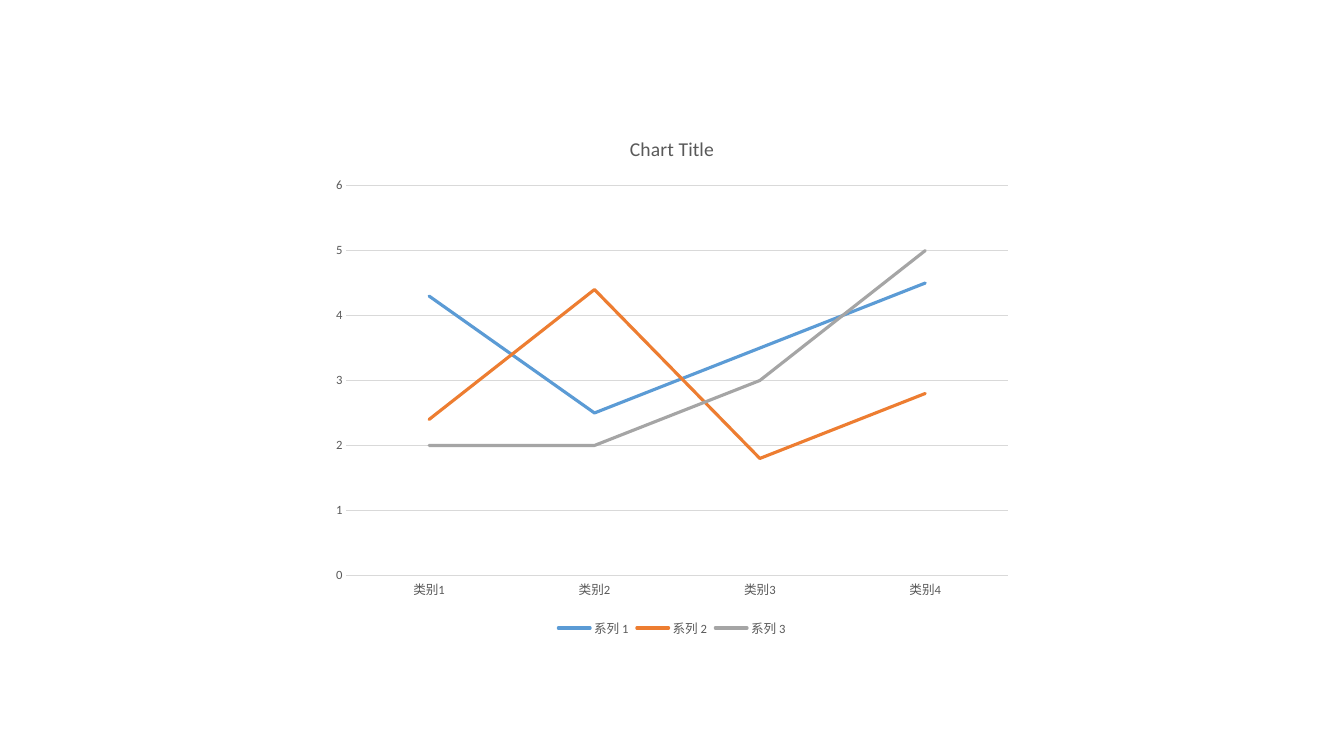
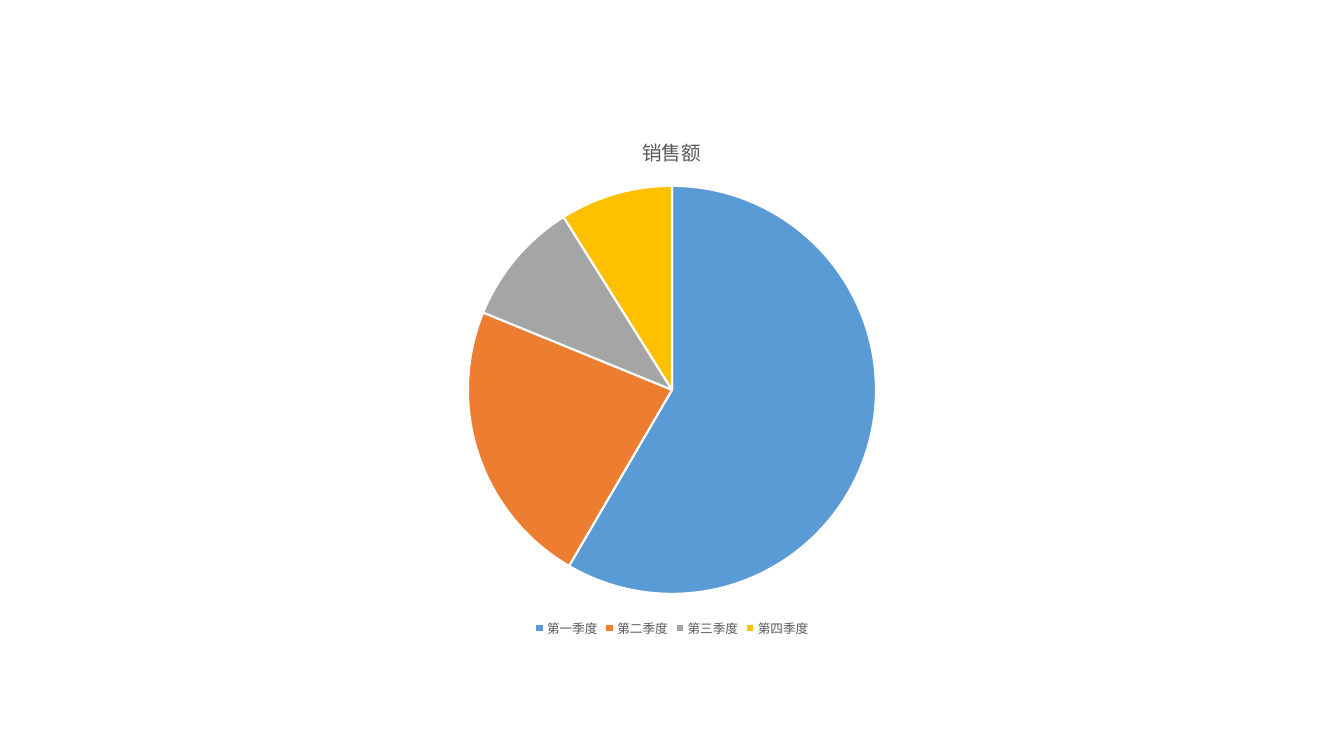
from dataclasses import dataclass
from pptx import Presentation
from pptx.chart.data import CategoryChartData as ChartData
from pptx.dml.color import RGBColor as RGB
from pptx.enum.chart import XL_CHART_TYPE as ChartType
from pptx.enum.chart import XL_LEGEND_POSITION as LegendPosition
from pptx.enum.chart import XL_TICK_MARK as TickMark
from pptx.oxml.ns import qn
from pptx.util import Emu, Pt


@dataclass(frozen=True)
class Theme:
    font: str = "Calibri"
    text: str = "595959"
    grid: str = "D9D9D9"
    paper: str = "FFFFFF"
    accents: tuple = ("5B9BD5", "ED7D31", "A5A5A5", "FFC000")
    title_size: int = 14
    label_size: int = 9
    grid_width: float = 0.75
    series_width: float = 2.25
    slice_border: float = 1.5


THEME = Theme()
SLIDE_SIZE = (1344, 756)
CHART_BOX = (322, 116, 700, 525)


def px(length):
    return Emu(round(length * 914400 / 100.8))


def style_font(font, size):
    font.name = THEME.font
    font.size = Pt(size)
    font.bold = False
    font.color.rgb = RGB.from_string(THEME.text)


def style_line(line, color, width):
    line.color.rgb = RGB.from_string(color)
    line.width = Pt(width)


def add_titled_chart(slide, box, kind, title, categories, series):
    """Place a chart with the shared title and bottom legend."""
    data = ChartData()
    data.categories = categories
    for name, values in series:
        data.add_series(name, values)
    chart = slide.shapes.add_chart(kind, *map(px, box), data).chart
    style_font(chart.font, THEME.label_size)

    # Title
    chart.has_title = True
    heading = chart.chart_title
    heading.include_in_layout = False
    heading.text_frame.text = title
    style_font(heading.text_frame.paragraphs[0].runs[0].font, THEME.title_size)

    # Legend
    chart.has_legend = True
    chart.legend.position = LegendPosition.BOTTOM
    chart.legend.include_in_layout = False
    style_font(chart.legend.font, THEME.label_size)

    chart.plots[0].vary_by_categories = kind == ChartType.PIE
    return chart


def line_slide(slide, box):
    chart = add_titled_chart(
        slide, box, ChartType.LINE, "Chart Title",
        [f"类别{n}" for n in range(1, 5)],
        [("系列 1", (4.3, 2.5, 3.5, 4.5)),
         ("系列 2", (2.4, 4.4, 1.8, 2.8)),
         ("系列 3", (2, 2, 3, 5))])

    # Axes and gridlines
    scale = chart.value_axis
    for axis in (chart.category_axis, scale):
        axis.major_tick_mark = axis.minor_tick_mark = TickMark.NONE
        style_font(axis.tick_labels.font, THEME.label_size)
    style_line(chart.category_axis.format.line, THEME.grid, THEME.grid_width)
    scale.format.line.fill.background()
    scale.minimum_scale, scale.maximum_scale, scale.major_unit = 0, 6, 1
    scale.has_major_gridlines = True
    style_line(scale.major_gridlines.format.line, THEME.grid, THEME.grid_width)

    # Series lines with round ends and joins
    for series, color in zip(chart.plots[0].series, THEME.accents):
        series.smooth = False
        style_line(series.format.line, color, THEME.series_width)
        outline = series._element.find(qn("c:spPr")).find(qn("a:ln"))
        outline.set("cap", "rnd")
        outline.append(outline.makeelement(qn("a:round"), {}))


def pie_slide(slide, box):
    sales = "销售额"
    quarters = [f"第{n}季度" for n in "一二三四"]
    chart = add_titled_chart(slide, box, ChartType.PIE, sales, quarters,
                             [(sales, (59, 23, 10, 9))])

    # Slices
    slices = chart.plots[0].series[0].points
    for index, color in enumerate(THEME.accents):
        look = slices[index].format
        look.fill.solid()
        look.fill.fore_color.rgb = RGB.from_string(color)
        style_line(look.line, THEME.paper, THEME.slice_border)


def main():
    deck = Presentation()
    deck.slide_width, deck.slide_height = map(px, SLIDE_SIZE)
    blank = deck.slide_layouts[6]
    for build in (line_slide, pie_slide):
        build(deck.slides.add_slide(blank), CHART_BOX)
    deck.save("out.pptx")


if __name__ == "__main__":
    main()
